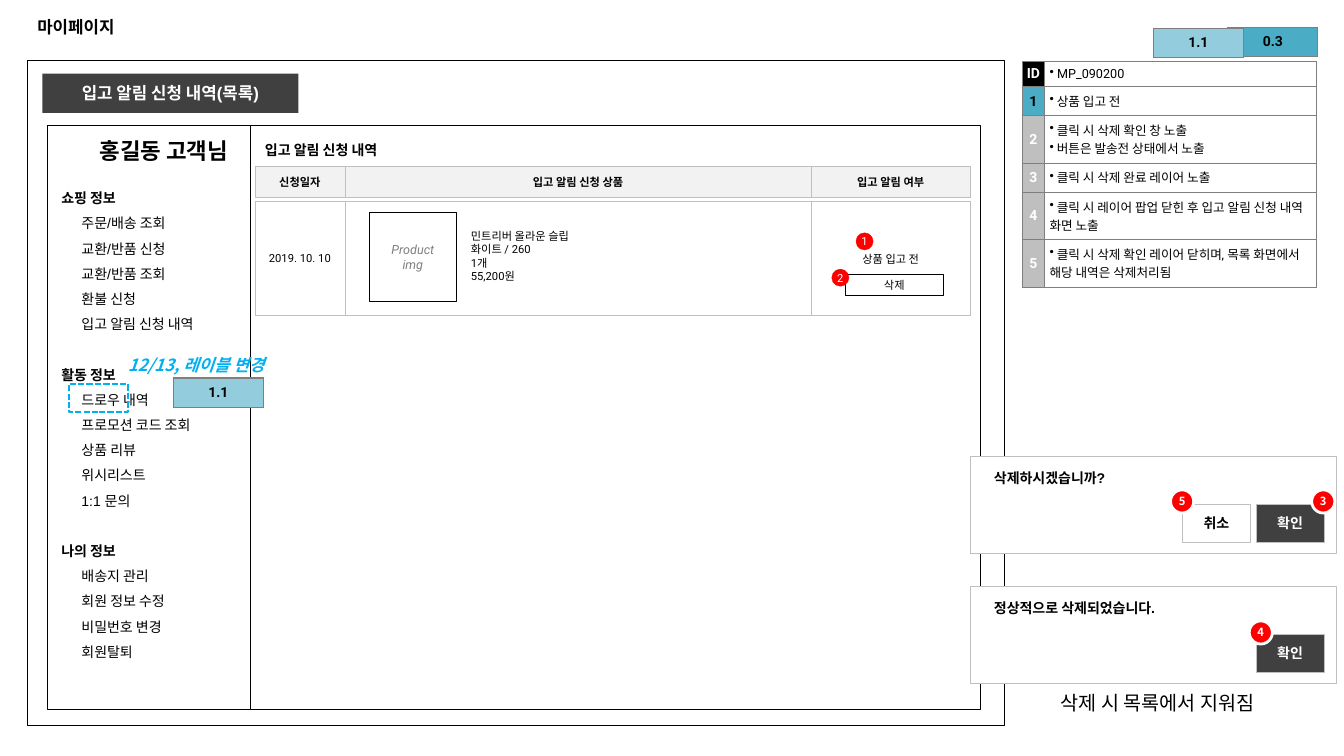
from dataclasses import dataclass, replace

from lxml import etree
from pptx import Presentation
from pptx.dml.color import RGBColor
from pptx.enum.dml import MSO_LINE
from pptx.enum.shapes import MSO_CONNECTOR, MSO_SHAPE
from pptx.enum.text import MSO_ANCHOR, PP_ALIGN
from pptx.oxml.ns import qn
from pptx.util import Inches, Pt

LEFT, CENTER = PP_ALIGN.LEFT, PP_ALIGN.CENTER
TOP, MIDDLE = MSO_ANCHOR.TOP, MSO_ANCHOR.MIDDLE
RECT, OVAL = MSO_SHAPE.RECTANGLE, MSO_SHAPE.OVAL
STRAIGHT, DASH = MSO_CONNECTOR.STRAIGHT, MSO_LINE.SQUARE_DOT

BLACK = RGBColor(0x00, 0x00, 0x00)
WHITE = RGBColor(0xFF, 0xFF, 0xFF)
DARK = RGBColor(0x40, 0x40, 0x40)
GRAY = RGBColor(0x7F, 0x7F, 0x7F)
MID = RGBColor(0x80, 0x80, 0x80)
SILVER = RGBColor(0xBF, 0xBF, 0xBF)
PALE = RGBColor(0xF2, 0xF2, 0xF2)
TEAL = RGBColor(0x4B, 0xAC, 0xC6)
AQUA = RGBColor(0x93, 0xCD, 0xDD)
SKY = RGBColor(0x00, 0xB0, 0xF0)
RED = RGBColor(0xFF, 0x00, 0x00)

ARIAL, NOTO, ROBOTO = "Arial", "Noto Sans CJK KR", "Roboto"


@dataclass(frozen=True)
class Type:
    size: float
    font: str = ARIAL
    color: RGBColor = BLACK
    bold: bool = False
    italic: bool = False
    align: int = LEFT
    anchor: int = TOP
    inset: tuple = (0.1, 0.05)
    leading: float = 0
    bullet: str = ""


HEADING = Type(10, bold=True)
MENU = Type(10, leading=18)
BUTTON = Type(10, NOTO, WHITE, bold=True, align=CENTER, anchor=MIDDLE)
BADGE = Type(8, NOTO, WHITE, bold=True, align=CENTER, anchor=MIDDLE, inset=(0, 0))
MARK = replace(BADGE, font=ROBOTO, bold=False)
CELL = replace(MARK, color=BLACK)
HEAD_CELL = replace(CELL, bold=True)
ID_CELL = replace(BADGE, size=10, font=ROBOTO)
TAG = replace(ID_CELL, color=BLACK)
NOTE = Type(9, ROBOTO, inset=(0.05, 0.05), bullet="•")
PRODUCT = Type(8, ROBOTO, anchor=MIDDLE, inset=(0.04, 0.04))


class Wireframe:
    def __init__(self, slide):
        self.slide = slide
        self.shapes = slide.shapes

    def paragraph(self, para, text, kind):
        para.alignment = kind.align
        if kind.leading:
            para.line_spacing = Pt(kind.leading)
        if kind.bullet:
            properties = para._p.get_or_add_pPr()
            properties.set("marL", "0")
            properties.set("indent", "0")
            etree.SubElement(properties, qn("a:buChar")).set("char", kind.bullet)
        span = para.add_run()
        span.text = text
        font = span.font
        font.size, font.name = Pt(kind.size), kind.font
        font.bold, font.italic = kind.bold, kind.italic
        font.color.rgb = kind.color
        etree.SubElement(span._r.get_or_add_rPr(), qn("a:ea")).set("typeface", NOTO)

    def add_lines(self, frame, lines, kind):
        for index, line in enumerate(lines):
            para = frame.add_paragraph() if index else frame.paragraphs[0]
            self.paragraph(para, line, kind)

    def frame(self, box, kind):
        frame = box.text_frame
        frame.word_wrap = True
        frame.vertical_anchor = kind.anchor
        side, edge = kind.inset
        frame.margin_left = frame.margin_right = Inches(side)
        frame.margin_top = frame.margin_bottom = Inches(edge)
        return frame

    def title(self, place, text, kind):
        box = self.shapes.title
        box.left, box.top, box.width, box.height = map(Inches, place)
        self.add_lines(self.frame(box, kind), [text], kind)

    def text(self, place, lines, kind):
        box = self.shapes.add_textbox(*map(Inches, place))
        self.add_lines(self.frame(box, kind), lines, kind)

    def shape(self, place, fill=None, line=None, weight=0.25, lines=(), kind=CELL,
              form=RECT, dash=None):
        box = self.shapes.add_shape(form, *map(Inches, place))
        box.shadow.inherit = False
        if fill is None:
            box.fill.background()
        else:
            box.fill.solid()
            box.fill.fore_color.rgb = fill
        if line is None:
            box.line.fill.background()
        else:
            box.line.color.rgb = line
            box.line.width = Pt(weight)
        if dash:
            box.line.dash_style = dash
        if lines:
            self.add_lines(self.frame(box, kind), lines, kind)

    def rule(self, left, right, y):
        line = self.shapes.add_connector(STRAIGHT, Inches(left), Inches(y), Inches(right), Inches(y))
        line.line.color.rgb = BLACK
        line.line.width = Pt(0.75)
        etree.SubElement(line._element.spPr, qn("a:effectLst"))

    def badge(self, left, top, number):
        self.shape((left, top, 0.23, 0.23), RED, WHITE, 2, [number], BADGE, OVAL)

    def mark(self, left, top, number):
        self.shape((left, top, 0.17, 0.17), RED, RED, 0.25, [number], MARK, OVAL)

    def tag(self, left, top, text, fill):
        self.table(left, top, [0.89], [0.29], [[([text], TAG, fill)]], GRAY, 1)

    def popup(self, top, message):
        self.shape((9.62, top, 3.63, 0.96), WHITE, SILVER)
        self.text((9.76, top + 0.08, 2.22, 0.27), [message], HEADING)
        self.shape((12.46, top + 0.47, 0.67, 0.38), DARK, SILVER, 0.25, ["확인"], BUTTON)

    def menu(self, place, groups):
        frame = self.frame(self.shapes.add_textbox(*map(Inches, place)), MENU)
        for index, (heading, items) in enumerate(groups):
            para = frame.add_paragraph() if index else frame.paragraphs[0]
            if index:
                para.space_before = Pt(18)
            self.paragraph(para, heading, replace(MENU, bold=True))
            for item in items:
                para = frame.add_paragraph()
                self.paragraph(para, item, MENU)
                para._p.get_or_add_pPr().set("marL", str(Inches(0.2)))

    def table(self, left, top, widths, heights, rows, border, weight):
        grid = self.shapes.add_table(len(heights), len(widths), Inches(left), Inches(top),
                                     Inches(sum(widths)), Inches(sum(heights))).table
        grid.first_row = grid.horz_banding = False
        for column, width in zip(grid.columns, widths):
            column.width = Inches(width)
        for y, (height, row) in enumerate(zip(heights, rows)):
            grid.rows[y].height = Inches(height)
            for x, (lines, kind, fill) in enumerate(row):
                self.cell(grid.cell(y, x), lines, kind, fill, border, weight)

    def cell(self, cell, lines, kind, fill, border, weight):
        side, edge = kind.inset
        cell.margin_left = cell.margin_right = Inches(side)
        cell.margin_top = cell.margin_bottom = Inches(edge)
        cell.vertical_anchor = kind.anchor
        properties = cell._tc.get_or_add_tcPr()
        for name in ("a:lnL", "a:lnR", "a:lnT", "a:lnB"):
            line = etree.SubElement(properties, qn(name), w=str(Pt(weight)))
            paint = etree.SubElement(line, qn("a:solidFill"))
            etree.SubElement(paint, qn("a:srgbClr")).set("val", str(border))
        cell.fill.solid()
        cell.fill.fore_color.rgb = fill
        self.add_lines(cell.text_frame, lines, kind)


def main():
    deck = Presentation()
    deck.slide_width, deck.slide_height = Inches(13.33), Inches(7.5)
    page = Wireframe(deck.slides.add_slide(deck.slide_layouts[5]))

    page.shape((0.27, 0.6, 9.69, 6.6), line=BLACK, weight=0.75)
    page.title((0.27, 0.07, 12.79, 0.39), "마이페이지", Type(12, bold=True, anchor=MIDDLE))
    page.shape((0.47, 1.24, 2.02, 5.8), WHITE, BLACK)
    page.shape((0.42, 0.73, 2.54, 0.39), DARK, lines=["입고 알림 신청 내역(목록)"],
               kind=replace(BUTTON, size=12, font=ARIAL))

    notes = [
        ("ID", BLACK, WHITE, [" MP_090200"]),
        ("1", TEAL, BLACK, [" 상품 입고 전"]),
        ("2", SILVER, WHITE, [" 클릭 시 삭제 확인 창 노출", " 버튼은 발송전 상태에서 노출"]),
        ("3", SILVER, WHITE, [" 클릭 시 삭제 완료 레이어 노출"]),
        ("4", SILVER, WHITE, [" 클릭 시 레이어 팝업 닫힌 후 입고 알림 신청 내역 화면 노출"]),
        ("5", SILVER, WHITE, [" 클릭 시 삭제 확인 레이어 닫히며, 목록 화면에서 해당 내역은 삭제처리됨"]),
    ]
    rows = [[([number], replace(ID_CELL, color=color), fill), (lines, NOTE, WHITE)]
            for number, fill, color, lines in notes]
    page.table(10.14, 0.61, [0.22, 2.7], [0.25, 0.29, 0.47, 0.29, 0.47, 0.47], rows, GRAY, 1)

    page.menu((0.51, 1.75, 1.97, 4.73), [
        ("쇼핑 정보", ["주문/배송 조회", "교환/반품 신청", "교환/반품 조회", "환불 신청", "입고 알림 신청 내역"]),
        ("활동 정보", ["드로우 내역", "프로모션 코드 조회", "상품 리뷰", "위시리스트", "1:1 문의"]),
        ("나의 정보", ["배송지 관리", "회원 정보 수정", "비밀번호 변경", "회원탈퇴"]),
    ])
    page.text((0.89, 1.33, 1.72, 0.33), ["홍길동 고객님"], Type(16, bold=True, leading=18))

    page.shape((2.48, 1.24, 7.24, 5.8), WHITE, BLACK)
    page.text((2.53, 1.28, 1.97, 0.33), ["입고 알림 신청 내역"],
              replace(HEADING, anchor=MIDDLE, leading=18))
    page.rule(2.63, 9.56, 1.66)
    columns = [0.89, 4.63, 1.57]
    entry = [(lines, CELL, WHITE) for lines in (["2019. 10. 10"], [], ["상품 입고 전"])]
    page.table(2.53, 2, columns, [1.13], [entry], SILVER, 0.25)
    header = [([label], HEAD_CELL, PALE) for label in ("신청일자", "입고 알림 신청 상품", "입고 알림 여부")]
    page.table(2.53, 1.65, columns, [0.31], [header], SILVER, 0.25)
    page.shape((3.66, 2.1, 0.87, 0.89), line=BLACK, lines=["Product", "img"],
               kind=replace(PRODUCT, size=9, color=MID, italic=True, align=CENTER))
    page.text((4.63, 2.23, 1.19, 0.62), ["민트리버 올라운 슬립", "화이트 / 260", "1개", "55,200원"], PRODUCT)
    page.shape((8.38, 2.72, 0.98, 0.21), WHITE, BLACK, lines=["삭제"],
               kind=replace(BUTTON, size=8, color=BLACK, bold=False))

    page.text((10.42, 6.81, 2.36, 0.34), ["삭제 시 목록에서 지워짐"], Type(14, NOTO))
    page.popup(4.53, "삭제하시겠습니까?")
    page.shape((11.73, 5, 0.67, 0.38), WHITE, SILVER, lines=["취소"], kind=replace(BUTTON, color=BLACK))
    page.badge(13.01, 4.86, "3")
    page.badge(11.61, 4.86, "5")
    page.popup(5.82, "정상적으로 삭제되었습니다.")
    page.badge(12.39, 6.16, "4")
    page.mark(8.49, 2.31, "1")
    page.mark(8.25, 2.67, "2")

    page.tag(12.18, 0.27, "0.3", TEAL)
    page.tag(11.44, 0.28, "1.1", AQUA)
    page.text((1.17, 3.47, 1.67, 0.3), ["12/13, 레이블 변경"], Type(12, NOTO, SKY, bold=True, italic=True))
    page.shape((0.68, 3.81, 0.59, 0.28), line=SKY, weight=1.5, dash=DASH)
    page.tag(1.72, 3.75, "1.1", AQUA)
    deck.save("out.pptx")


if __name__ == "__main__":
    main()
